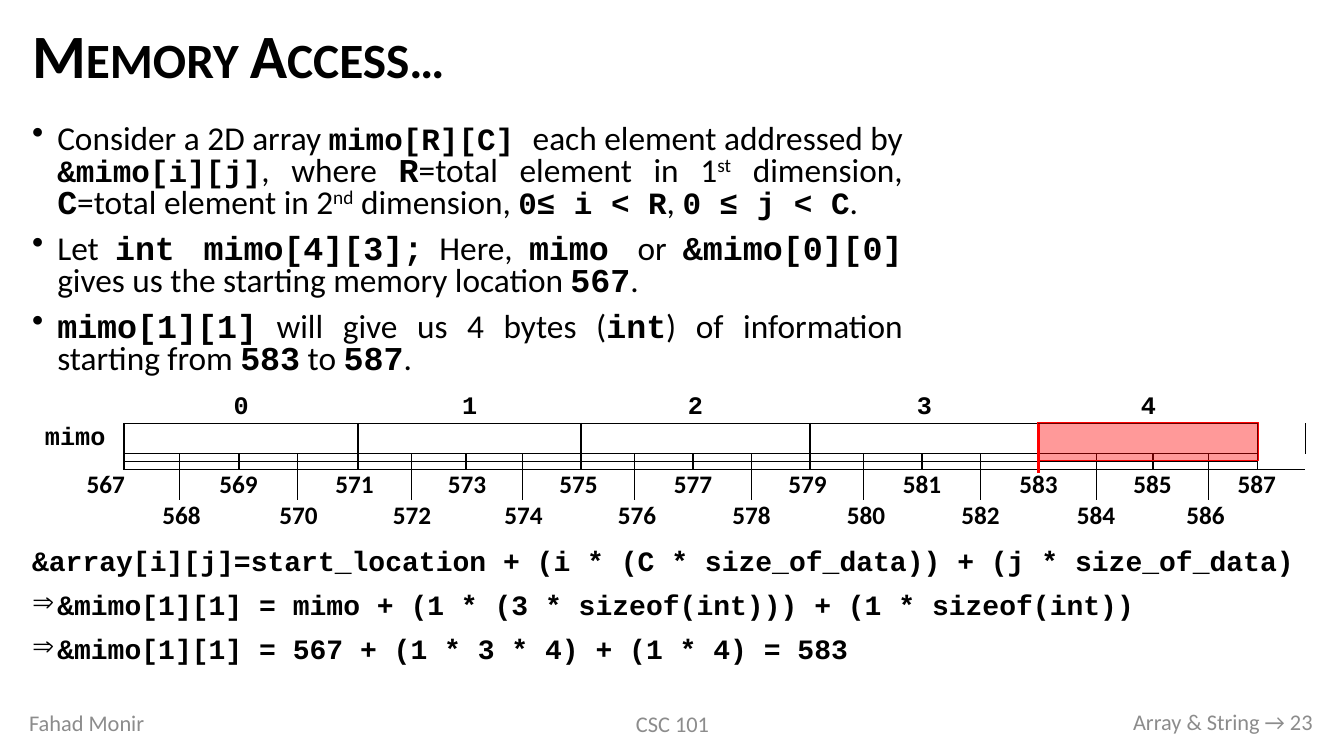
from dataclasses import dataclass

from lxml.etree import SubElement
from pptx import Presentation
from pptx.dml.color import RGBColor
from pptx.enum.shapes import MSO_CONNECTOR as Connector, MSO_SHAPE as Shape
from pptx.enum.text import MSO_ANCHOR as Anchor, PP_ALIGN as Align
from pptx.oxml.ns import qn
from pptx.util import Inches, Pt


@dataclass(frozen=True)
class Theme:
    ink: RGBColor = RGBColor(0, 0, 0)
    muted: RGBColor = RGBColor(0x8C, 0x8C, 0x8C)
    accent: RGBColor = RGBColor(0xFF, 0, 0)
    prose: str = "Calibri"
    mono: str = "Courier New"
    title: float = 44
    body: float = 23.8
    code: float = 22.1
    formula: float = 20
    ruler: float = 18
    footer: float = 16


THEME = Theme()
WIDTH, HEIGHT = Inches(13.33), Inches(7.5)
NO_GRID_STYLE = "{2D5ABB26-0587-4C30-8999-92F81FD0307C}"


def style(name, size, bold=False, color=THEME.ink, **extra):
    return {"font": dict(name=name, size=Pt(size), bold=bold), "color": color, "extra": extra}


TITLE = style(THEME.prose, THEME.title, True, cap="small")
PROSE = style(THEME.prose, THEME.body)
RAISED = style(THEME.prose, THEME.body, baseline="30000")
MONO = style(THEME.mono, THEME.body, True)
CODE = style(THEME.mono, THEME.code, True)
FORMULA = style(THEME.mono, THEME.formula, True)
INDEX = style(THEME.mono, THEME.ruler, True)
ADDRESS = style(THEME.prose, THEME.ruler, True)
FOOTER = style(THEME.prose, THEME.footer, color=THEME.muted)

EXPLANATION = [
    [(PROSE, "Consider a 2D array "), (CODE, "mimo[R][C] "),
     (PROSE, "each element addressed by "), (CODE, "&mimo[i][j]"),
     (PROSE, ", where "), (MONO, "R"), (PROSE, "=total element in 1"),
     (RAISED, "st"), (PROSE, " dimension, "), (MONO, "C"),
     (PROSE, "=total element in 2"), (RAISED, "nd"), (PROSE, " dimension, "),
     (CODE, "0≤ i < R"), (PROSE, ", "), (CODE, "0 ≤ j < C"), (PROSE, ". ")],
    [(PROSE, "Let "), (MONO, "int mimo[4][3];"), (PROSE, " Here, "),
     (MONO, "mimo "), (PROSE, "or "), (MONO, "&mimo[0][0] "),
     (PROSE, "gives us the starting memory location "), (MONO, "567"), (PROSE, ".")],
    [(MONO, "mimo[1][1]"), (PROSE, " will give us 4 bytes ("), (MONO, "int"),
     (PROSE, ") of information starting from "), (MONO, "583"),
     (PROSE, " to "), (MONO, "587"), (PROSE, ".")],
]
RULE = "&array[i][j]=start_location + (i * (C * size_of_data)) + (j * size_of_data)"
STEPS = [
    "&mimo[1][1] = mimo + (1 * (3 * sizeof(int))) + (1 * sizeof(int))",
    "&mimo[1][1] = 567 + (1 * 3 * 4) + (1 * 4) = 583",
]
FOOTERS = [
    ("Fahad Monir", (1.43, 92.93, 22.5, 5.33), Align.LEFT),
    ("CSC 101", (33.16, 93.07, 33.76, 5.33), Align.CENTER),
    ("Array & String → 23", (75.92, 92.8, 22.5, 5.33), Align.RIGHT),
]

BYTE_WEIGHTS = [97, 55, 59, 58, 60, 53, 54, 56, 58, 53, 58,
                58, 58, 53, 58, 58, 58, 57, 56, 55, 49, 47]
ROW_SHARES = [4, 4, 1.07, 1.07, 4, 4, 0]
GROUP = 4
GROUP_STARTS = range(1, 21, GROUP)
TICKS = {1: range(1, 22, GROUP), 2: range(1, 22), 3: range(1, 22), 4: range(2, 21, 2)}
BASELINES = {1, 3}


def across(share):
    return round(WIDTH * share / 100)


def down(share):
    return round(HEIGHT * share / 100)


def place(left, top, width, height):
    return across(left), down(top), across(width), down(height)


def write_run(paragraph, text, look):
    run = paragraph.add_run()
    run.text = text
    for key, value in look["font"].items():
        setattr(run.font, key, value)
    run.font.color.rgb = look["color"]
    for key, value in look["extra"].items():
        run.font._element.set(key, value)


def write_paragraph(paragraph, runs, bullet=None, **layout):
    for key, value in layout.items():
        setattr(paragraph, key, value)
    if bullet:
        properties = paragraph._p.get_or_add_pPr()
        indent = Inches(0.25)
        properties.set("marL", str(indent))
        properties.set("indent", str(-indent))
        SubElement(properties, qn("a:buChar"), char=bullet)
    for look, text in runs:
        write_run(paragraph, text, look)


def add_text(slide, area, paragraphs, anchor=Anchor.TOP):
    frame = slide.shapes.add_textbox(*place(*area)).text_frame
    frame.word_wrap = True
    frame.vertical_anchor = anchor
    for number, (runs, layout) in enumerate(paragraphs):
        paragraph = frame.add_paragraph() if number else frame.paragraphs[0]
        write_paragraph(paragraph, runs, **layout)


def draw_borders(cell, row, column):
    edges = {
        "a:lnL": column in TICKS.get(row, ()),
        "a:lnR": column + 1 in TICKS.get(row, ()),
        "a:lnT": row in BASELINES and 1 <= column <= 20,
        "a:lnB": row + 1 in BASELINES and 1 <= column <= 20,
    }
    properties = cell._tc.get_or_add_tcPr()
    for tag, visible in edges.items():
        if visible:
            line = SubElement(properties, qn(tag), w=str(Pt(1)))
            fill = SubElement(line, qn("a:solidFill"))
            SubElement(fill, qn("a:srgbClr"), val=str(THEME.ink))


def ruler_labels():
    labels = {(1, 0): (INDEX, "mimo")}
    for number, start in enumerate(GROUP_STARTS):
        labels[0, start] = (INDEX, str(number))
    for column in range(21):
        row = 5 if column % 2 else 4
        labels[row, column] = (ADDRESS, str(567 + column) if column else " 567")
    return labels


def ruler_spans():
    groups = [(row, start, GROUP) for row in (0, 1, 6) for start in GROUP_STARTS]
    pairs = [(5 if column % 2 else 4, column, 2) for column in range(21)]
    return groups + pairs


def add_memory_ruler(slide):
    area = place(1.95, 52, 95.2, sum(ROW_SHARES))
    frame = slide.shapes.add_table(len(ROW_SHARES), len(BYTE_WEIGHTS), *area)
    ruler = frame.table
    ruler.first_row = ruler.horz_banding = False
    ruler._tbl.tblPr.find(qn("a:tableStyleId")).text = NO_GRID_STYLE
    for column, weight in zip(ruler.columns, BYTE_WEIGHTS):
        column.width = round(area[2] * weight / sum(BYTE_WEIGHTS))
    for row, share in zip(ruler.rows, ROW_SHARES):
        row.height = down(share)
    for row, start, length in ruler_spans():
        ruler.cell(row, start).merge(ruler.cell(row, start + length - 1))
    labels = ruler_labels()
    for row in range(len(ROW_SHARES)):
        for column in range(len(BYTE_WEIGHTS)):
            cell = ruler.cell(row, column)
            for side in ("left", "right", "top", "bottom"):
                setattr(cell, f"margin_{side}", 0)
            cell.vertical_anchor = Anchor.MIDDLE
            draw_borders(cell, row, column)
            cell.fill.background()
            paragraph = cell.text_frame.paragraphs[0]
            if (row, column) in labels:
                write_paragraph(paragraph, [labels[row, column]], alignment=Align.CENTER)
            else:
                SubElement(paragraph._p, qn("a:endParaRPr"), sz="100")


def add_highlight(slide):
    edge = across(77.27)
    marker = slide.shapes.add_connector(Connector.STRAIGHT, edge, down(56.13), edge, down(62.53))
    marker.line.color.rgb = THEME.accent
    marker.line.width = Pt(2.25)
    SubElement(marker._element.spPr, qn("a:effectLst"))
    block = slide.shapes.add_shape(Shape.RECTANGLE, *place(77.2, 55.87, 16.43, 5.07))
    block.shadow.inherit = False
    block.fill.solid()
    block.fill.fore_color.rgb = block.line.color.rgb = THEME.accent
    block.line.width = Pt(1)
    tint = block._element.spPr.find(qn("a:solidFill")).find(qn("a:srgbClr"))
    SubElement(tint, qn("a:alpha"), val="40000")


def main():
    deck = Presentation()
    deck.slide_width, deck.slide_height = WIDTH, HEIGHT
    slide = deck.slides.add_slide(deck.slide_layouts[6])
    add_text(slide, (1.65, 2.4, 96.55, 10.67),
             [([(TITLE, "Memory Access…")], dict(line_spacing=0.9))], Anchor.MIDDLE)
    prose = dict(bullet="•", alignment=Align.JUSTIFY, line_spacing=0.8, space_before=Pt(10))
    add_text(slide, (1.65, 15.87, 66.24, 36.8), [(runs, prose) for runs in EXPLANATION])
    formula = dict(line_spacing=0.9, space_before=Pt(10))
    steps = [([(FORMULA, step)], dict(formula, bullet="⇒")) for step in STEPS]
    add_text(slide, (1.65, 71.73, 96.55, 17.6), [([(FORMULA, RULE)], formula)] + steps)
    add_memory_ruler(slide)
    add_highlight(slide)
    for text, area, alignment in FOOTERS:
        add_text(slide, area, [([(FOOTER, text)], dict(alignment=alignment))], Anchor.MIDDLE)
    deck.save("out.pptx")


if __name__ == "__main__":
    main()
